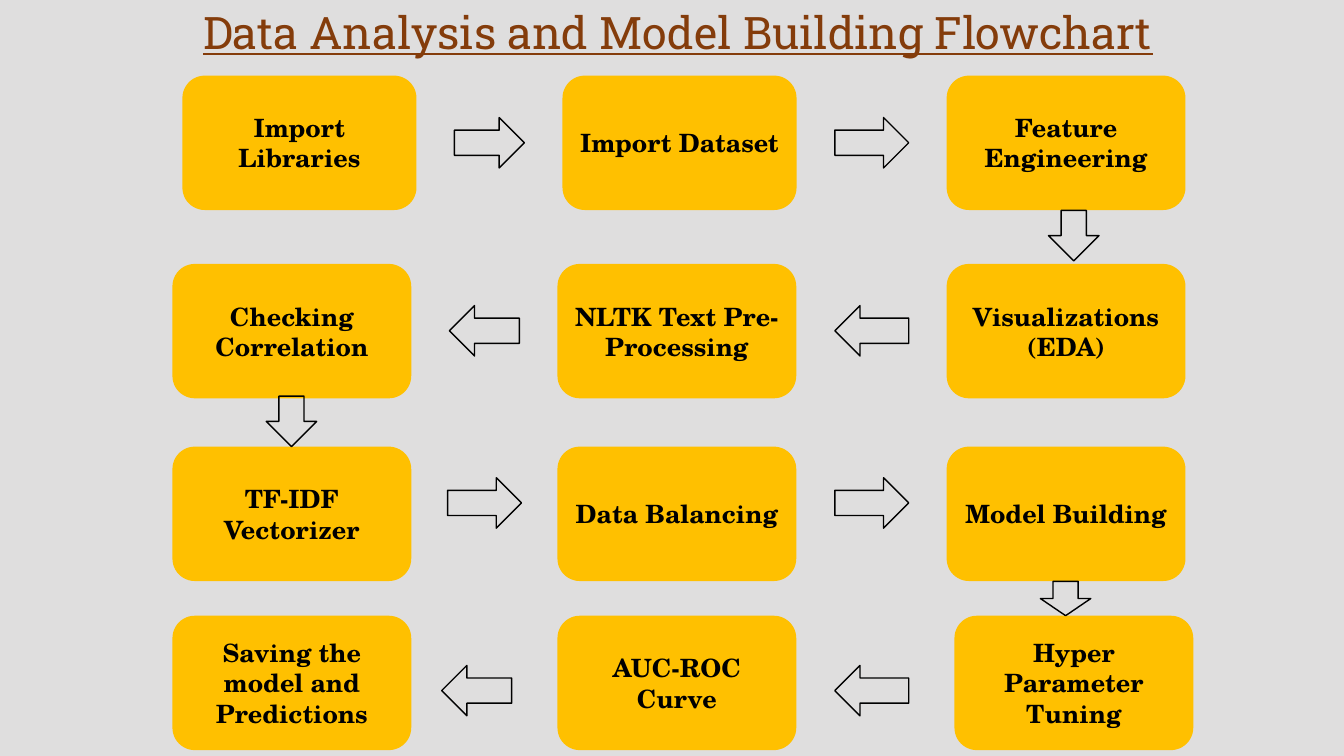
from pptx import Presentation
from pptx.dml.color import RGBColor
from pptx.enum.shapes import MSO_SHAPE
from pptx.enum.text import MSO_ANCHOR, MSO_AUTO_SIZE, PP_ALIGN
from pptx.util import Pt


def color(hex_string):
    return RGBColor.from_string(hex_string)


def add_arrow(direction, left, top, width, height):
    arrow = slide.shapes.add_shape(direction, Pt(left), Pt(top), Pt(width), Pt(height))
    arrow.shadow.inherit = False
    arrow.fill.background()
    arrow.line.color.rgb = color("000000")
    arrow.line.width = Pt(1)


deck = Presentation()
deck.slide_width, deck.slide_height = Pt(960), Pt(540)
slide = deck.slides.add_slide(deck.slide_layouts[5])
slide.background.fill.solid()
slide.background.fill.fore_color.rgb = color("DFDEDE")

# Title
title = slide.shapes.title
title.left, title.top, title.width, title.height = Pt(42.5), Pt(0), Pt(883.5), Pt(67.7)
heading = title.text_frame
heading.auto_size = MSO_AUTO_SIZE.NONE
heading.word_wrap = True
heading.vertical_anchor = MSO_ANCHOR.TOP
heading.paragraphs[0].alignment = PP_ALIGN.CENTER
heading_run = heading.paragraphs[0].add_run()
heading_run.text = "Data Analysis and Model Building Flowchart"
heading_run.font.name = "Roboto Slab"
heading_run.font.size = Pt(32)
heading_run.font.underline = True
heading_run.font.color.rgb = color("843C0B")

# Steps, row by row from left to right: (left, width, lines of text)
LEFT, MIDDLE, RIGHT = 123.2, 398.2, 676.2
STEP_WIDTH, STEP_HEIGHT = 170.6, 96
rows = [
    (54, [(130.3, 167.2, ["Import Libraries"]),
          (401.8, 167.2, ["Import Dataset"]),
          (RIGHT, STEP_WIDTH, ["Feature Engineering"])]),
    (188.5, [(LEFT, STEP_WIDTH, ["Checking Correlation"]),
             (MIDDLE, STEP_WIDTH, ["NLTK Text Pre-Processing"]),
             (RIGHT, STEP_WIDTH, ["Visualizations", "(EDA)"])]),
    (319, [(LEFT, STEP_WIDTH, ["TF-IDF Vectorizer"]),
           (MIDDLE, STEP_WIDTH, ["Data Balancing"]),
           (RIGHT, STEP_WIDTH, ["Model Building"])]),
    (439.8, [(LEFT, STEP_WIDTH, ["Saving the model and Predictions"]),
             (MIDDLE, STEP_WIDTH, ["AUC-ROC Curve"]),
             (681.8, STEP_WIDTH, ["Hyper Parameter Tuning"])]),
]
for top, steps in rows:
    for left, width, lines in steps:
        step = slide.shapes.add_shape(MSO_SHAPE.FLOWCHART_ALTERNATE_PROCESS,
                                      Pt(left), Pt(top), Pt(width), Pt(STEP_HEIGHT))
        step.shadow.inherit = False
        step.fill.solid()
        step.fill.fore_color.rgb = color("FFC000")
        step.line.fill.background()
        label = step.text_frame
        label.word_wrap = True
        label.vertical_anchor = MSO_ANCHOR.MIDDLE
        for index, line in enumerate(lines):
            paragraph = label.add_paragraph() if index else label.paragraphs[0]
            paragraph.alignment = PP_ALIGN.CENTER
            run = paragraph.add_run()
            run.text = line
            run.font.name = "TeX Gyre Schola"
            run.font.size = Pt(18)
            run.font.bold = True
            run.font.color.rgb = color("000000")

# Arrows along the rows, which run right and left in turn
ARROW = 36
row_arrows = [
    (MSO_SHAPE.RIGHT_ARROW, 84, 324.6, 50),
    (MSO_SHAPE.LEFT_ARROW, 218.3, 321, 50),
    (MSO_SHAPE.RIGHT_ARROW, 341.3, 319.7, 52.8),
    (MSO_SHAPE.LEFT_ARROW, 475.3, 315.5, 50),
]
for direction, top, first_left, first_width in row_arrows:
    add_arrow(direction, first_left, top, first_width, ARROW)
    add_arrow(direction, 596.3, top, 52.8, ARROW)

# Arrows down to the next row
for left, top, height in [(749, 150.3, 36), (190.2, 283, 36), (743.2, 415.3, 24.5)]:
    add_arrow(MSO_SHAPE.DOWN_ARROW, left, top, ARROW, height)

deck.save("out.pptx")
